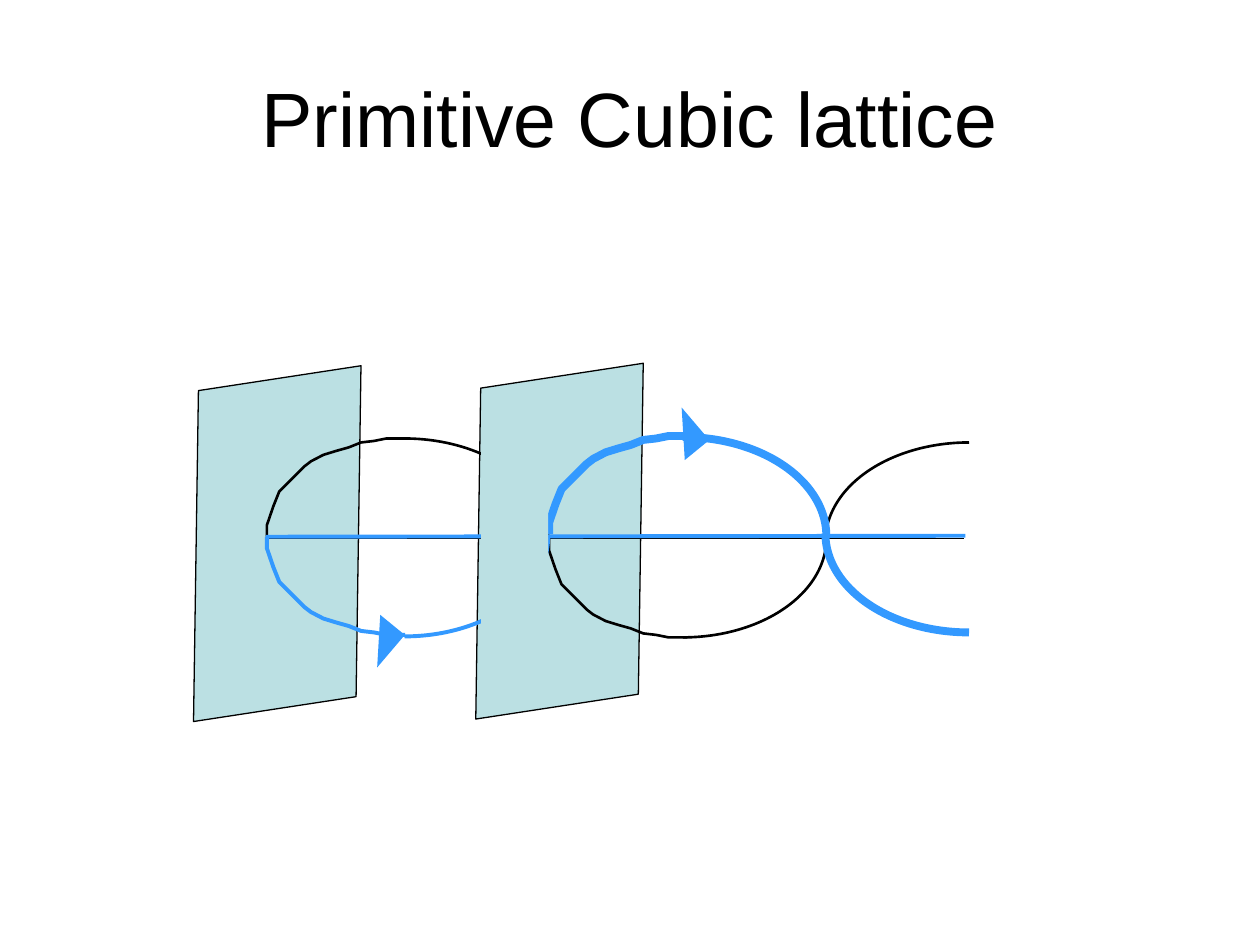
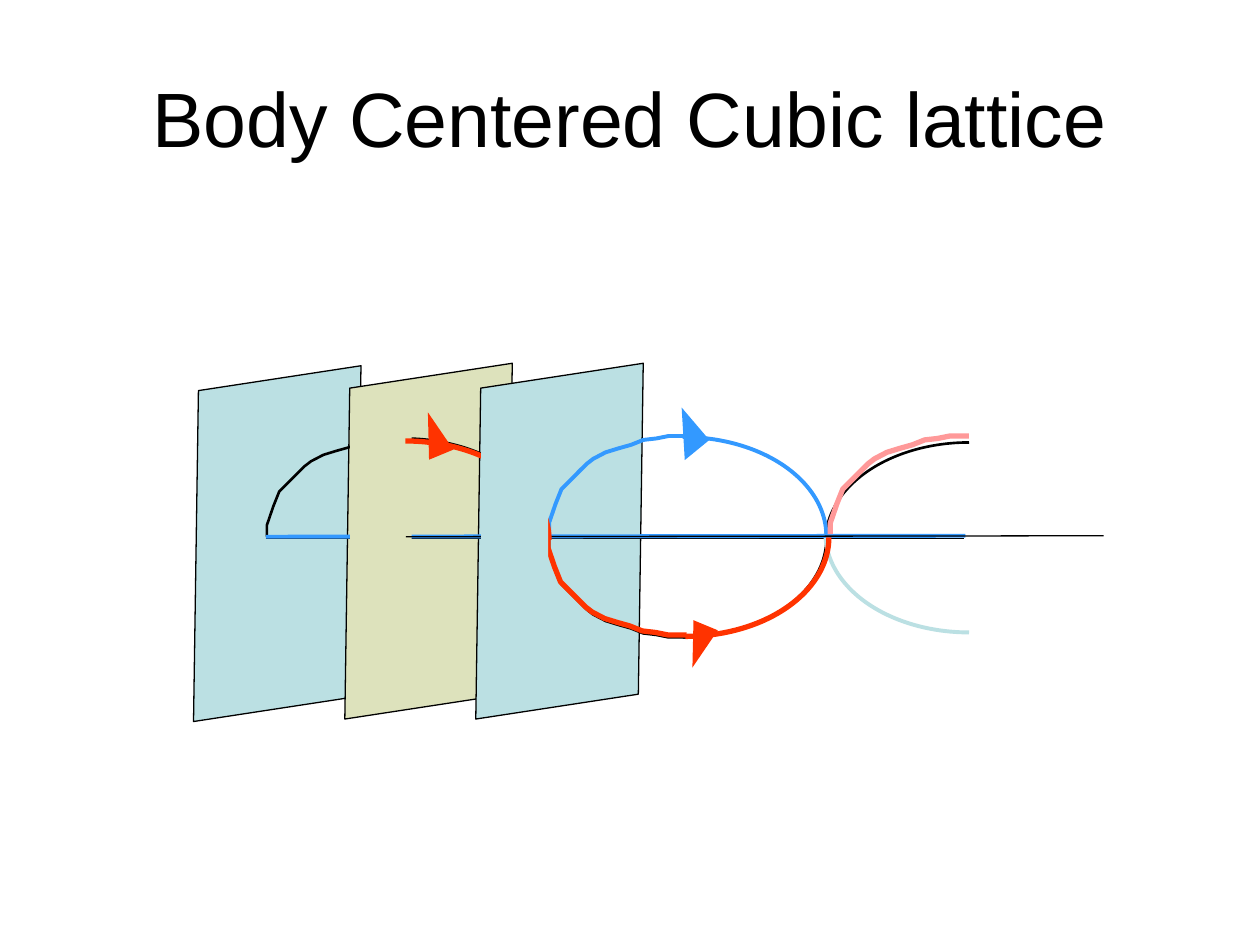
import dataclasses

import lxml.etree
import pptx
import pptx.dml.color
import pptx.enum.shapes
import pptx.enum.text
import pptx.oxml.ns
import pptx.util

Cm = pptx.util.Cm
PRESET = pptx.enum.shapes.MSO_SHAPE


@dataclasses.dataclass(frozen=True)
class Theme:
    font: str = "Arial"
    title_size: float = 44
    black: str = "000000"
    blue: str = "3399FF"
    red: str = "FF3300"
    pink: str = "FF9999"
    aqua: str = "BBE0E3"
    beige: str = "DDE2BC"
    thin: float = 0.75
    guide: float = 1.5
    medium: float = 2.25
    strong: float = 3
    bold: float = 4.5


THEME = Theme()
PLANE_SIZE = (4.42, 6.58)
ARC_SIZE = (5.79, 3.99)
BLUE_HEAD = dict(color=THEME.blue, size=(0.64, 0.86), angle=320.7, apex=0.974)
RED_HEAD = dict(color=THEME.red, size=(0.53, 0.89), angle=337.5, apex=0.648)
QUADRANTS = {
    "upper right": (270, 0),
    "lower right": (0, 90),
    "lower left": (90, 180),
    "upper left": (180, 270),
}
RISE = [
    (0, 0), (0, 0.23), (0.13, 0.61), (0.25, 0.91), (0.64, 1.3),
    (0.76, 1.42), (0.89, 1.52), (1.14, 1.65), (1.4, 1.73), (1.65, 1.8),
    (1.9, 1.9), (2.16, 1.93), (2.41, 1.98), (2.67, 1.98), (2.79, 1.98),
]


def rgb(color):
    return pptx.dml.color.RGBColor.from_string(color)


def paint(shape, fill=None, color=None, weight=None):
    shape.shadow.inherit = False
    if fill:
        shape.fill.solid()
        shape.fill.fore_color.rgb = rgb(fill)
    else:
        shape.fill.background()
    if color:
        shape.line.color.rgb = rgb(color)
        shape.line.width = pptx.util.Pt(weight)
    else:
        shape.line.fill.background()


def write(frame, text, *, size, color, font=THEME.font,
          align=pptx.enum.text.PP_ALIGN.CENTER):
    frame.word_wrap = True
    frame.vertical_anchor = pptx.enum.text.MSO_ANCHOR.MIDDLE
    paragraph = frame.paragraphs[0]
    paragraph.text = text
    paragraph.alignment = align
    paragraph.font.name = font
    paragraph.font.size = pptx.util.Pt(size)
    paragraph.font.color.rgb = rgb(color)


def add_preset(shapes, preset, left, top, size):
    width, height = size
    return shapes.add_shape(preset, Cm(left), Cm(top), Cm(width), Cm(height))


def add_plane(shapes, left, top, fill):
    plane = add_preset(shapes, PRESET.PARALLELOGRAM, left, top, PLANE_SIZE)
    plane.adjustments[0] = 0.25
    plane.rotation = 351.3
    paint(plane, fill, THEME.black, THEME.thin)


def add_cover(shapes, left, top, size, fill):
    paint(add_preset(shapes, PRESET.RECTANGLE, left, top, size), fill)


def add_arc(shapes, left, top, quadrant, color, weight):
    arc = add_preset(shapes, PRESET.ARC, left, top, ARC_SIZE)
    for index, degrees in enumerate(QUADRANTS[quadrant]):
        arc.adjustments[index] = degrees * 0.6
    paint(arc, color=color, weight=weight)


def add_rise(shapes, left, axis, direction, color, weight):
    points = [(Cm(left + x), Cm(axis + direction * y)) for x, y in RISE]
    builder = shapes.build_freeform(*points[0])
    builder.add_line_segments(points[1:], close=False)
    paint(builder.convert_to_shape(), color=color, weight=weight)


def add_axis(shapes, start, end, color, weight):
    axis = shapes.add_connector(
        pptx.enum.shapes.MSO_CONNECTOR.STRAIGHT,
        *(Cm(length) for length in (*start, *end)))
    axis.line.color.rgb = rgb(color)
    axis.line.width = pptx.util.Pt(weight)
    lxml.etree.SubElement(axis.element.spPr, pptx.oxml.ns.qn("a:effectLst"))


def add_head(shapes, left, top, *, color, size, angle, apex, below=False):
    head = add_preset(shapes, PRESET.ISOSCELES_TRIANGLE, left, top, size)
    head.adjustments[0] = 1 - apex if below else apex
    head.rotation = (180 - angle) % 360 if below else angle
    paint(head, color)


def add_guide_wave(slide):
    wave = slide.shapes.add_group_shape().shapes
    stroke = (THEME.black, THEME.guide)
    add_arc(wave, 16.64, 8.92, "upper left", *stroke)
    add_axis(wave, (5.36, 10.85), (19.43, 10.85), THEME.black, THEME.thin)
    add_rise(wave, 5.38, 10.82, -1, *stroke)
    add_arc(wave, 5.26, 8.84, "upper right", *stroke)
    add_rise(wave, 11.07, 10.87, 1, *stroke)
    add_arc(wave, 10.87, 8.86, "lower right", *stroke)


def add_blue_wave(shapes, tail_color, tail_weight, weight):
    add_arc(shapes, 16.64, 8.76, "lower left", tail_color, tail_weight)
    add_axis(shapes, (5.36, 10.82), (19.46, 10.8), THEME.blue, THEME.medium)
    add_rise(shapes, 11.07, 10.77, -1, THEME.blue, weight)
    add_arc(shapes, 10.87, 8.81, "upper right", THEME.blue, weight)
    add_head(shapes, 13.46, 8.31, **BLUE_HEAD)


def add_reflected_wave(slide):
    wave = slide.shapes.add_group_shape().shapes
    add_rise(wave, 5.38, 10.82, 1, THEME.blue, THEME.medium)
    add_arc(wave, 5.26, 8.84, "lower right", THEME.blue, THEME.medium)
    add_head(wave, 7.32, 12.5, below=True, **BLUE_HEAD)


def add_red_wave(shapes):
    stroke = (THEME.red, THEME.strong)
    add_axis(shapes, (8.18, 10.82), (22.25, 10.8), THEME.black, THEME.thin)
    add_rise(shapes, 11.05, 10.82, 1, *stroke)
    add_arc(shapes, 5.28, 8.89, "upper right", *stroke)
    add_arc(shapes, 10.92, 8.84, "lower right", *stroke)
    add_rise(shapes, 16.74, 10.77, -1, THEME.pink, THEME.strong)


def add_front_cover(shapes):
    add_cover(shapes, 9.7, 8.92, (1.35, 4.37), THEME.aqua)


def add_lattice_slide(deck, heading, planes):
    slide = deck.slides.add_slide(deck.slide_layouts[5])
    title = slide.shapes.title
    title.left, title.top = Cm(1.27), Cm(0.76)
    title.width, title.height = Cm(22.86), Cm(3.18)
    write(title.text_frame, heading, size=THEME.title_size, color=THEME.black)
    for plane in planes:
        add_plane(slide.shapes, *plane)
    add_guide_wave(slide)
    return slide


def main():
    deck = pptx.Presentation()
    deck.slide_width, deck.slide_height = Cm(25.4), Cm(19.05)
    back = (3.38, 7.67, THEME.aqua)
    center = (6.43, 7.62, THEME.beige)
    front = (9.07, 7.62, THEME.aqua)

    primitive = add_lattice_slide(deck, "Primitive Cubic lattice", [front, back])
    add_blue_wave(primitive.shapes, THEME.blue, THEME.bold, THEME.bold)
    add_reflected_wave(primitive)
    add_front_cover(primitive.shapes)

    centered = add_lattice_slide(
        deck, "Body Centered Cubic lattice", [back, center, front])
    add_blue_wave(centered.shapes, THEME.aqua, THEME.medium, THEME.medium)
    add_cover(centered.shapes, 7.06, 8.56, (1.24, 2.67), THEME.beige)
    add_red_wave(centered.shapes)
    add_front_cover(centered.shapes)
    add_head(centered.shapes, 8.46, 8.31, **RED_HEAD)
    add_head(centered.shapes, 13.79, 12.57, below=True, **RED_HEAD)

    deck.save("out.pptx")


if __name__ == "__main__":
    main()
